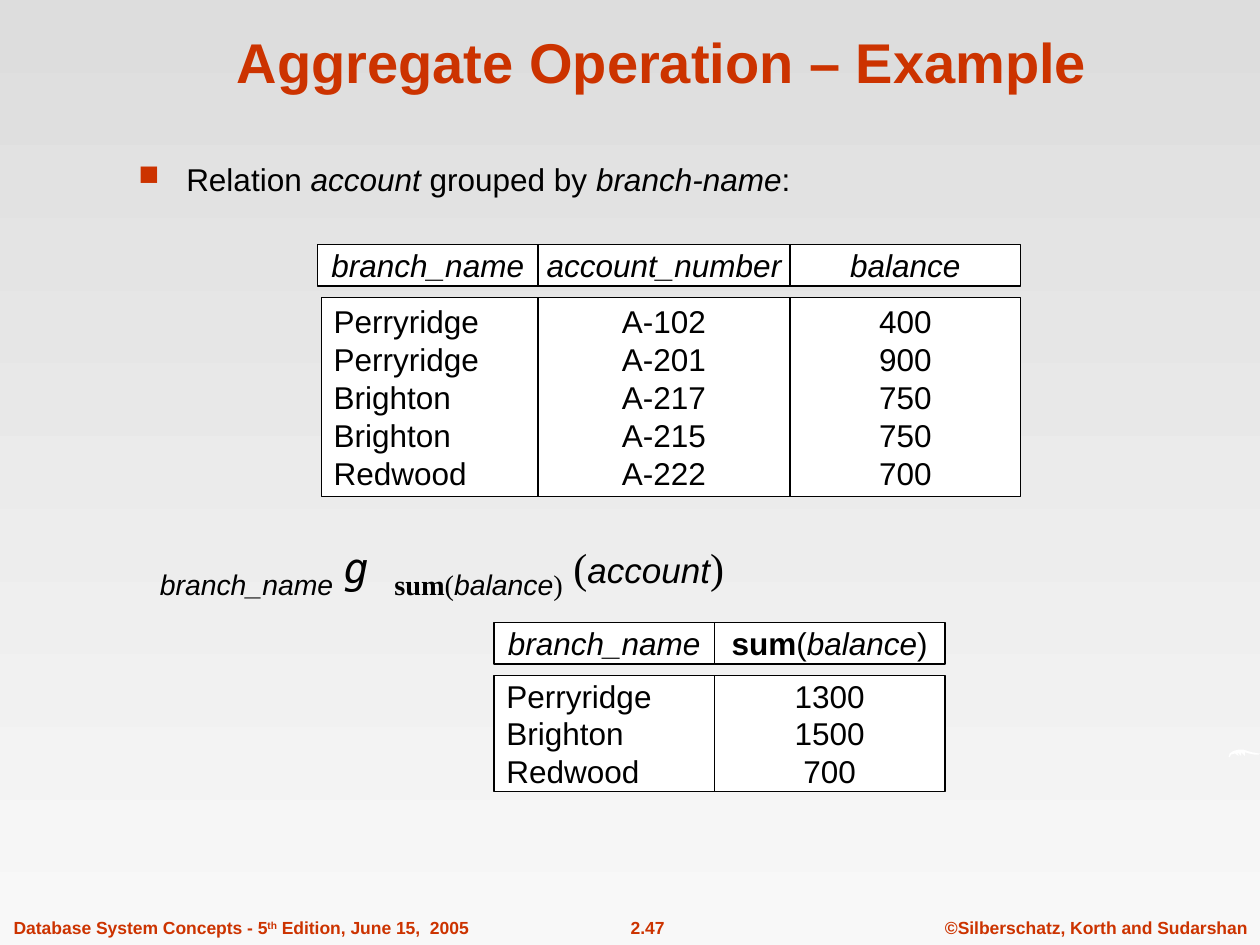
from dataclasses import dataclass

import pptx
import pptx.dml.color
import pptx.enum.shapes
import pptx.enum.text
import pptx.util
from lxml import etree
from pptx.util import Inches

Align = pptx.enum.text.PP_ALIGN
Anchor = pptx.enum.text.MSO_ANCHOR


@dataclass(frozen=True)
class Theme:
    accent: str = "CC3300"
    ink: str = "000000"
    paper: str = "FFFFFF"
    background: tuple = ("DDDDDD", "F8F8F8")
    sans: str = "Arial"
    serif: str = "Times New Roman"
    mono: str = "DejaVu Sans Mono"
    title_size: int = 32
    subscript_size: int = 28
    symbol_size: int = 24
    operand_size: int = 20
    body_size: int = 18
    footer_size: int = 10
    line_width: float = 0.75


THEME = Theme()


def rgb(color):
    return pptx.dml.color.RGBColor.from_string(color)


def add_run(paragraph, text, size=THEME.body_size, font=THEME.sans, color=THEME.ink,
            bold=False, italic=False, baseline=0):
    """Add one run; baseline is a shift in percent."""
    run = paragraph.add_run()
    run.text = text
    run.font.size = pptx.util.Pt(size)
    run.font.name = font
    run.font.bold = bold
    run.font.italic = italic
    run.font.color.rgb = rgb(color)
    if baseline:
        run.font._element.set("baseline", str(baseline * 1000))


def add_text_box(slide, box, wrap=True):
    frame = slide.shapes.add_textbox(*map(Inches, box)).text_frame
    frame.word_wrap = wrap
    return frame.paragraphs[0]


def add_bullet(paragraph, indent, character, color, percent):
    properties = paragraph._p.get_or_add_pPr()
    properties.set("marL", str(Inches(indent)))
    properties.set("indent", str(-Inches(indent)))
    namespace = properties.nsmap["a"]

    def child(parent, tag, **attributes):
        return etree.SubElement(parent, f"{{{namespace}}}{tag}", **attributes)

    child(child(properties, "buClr"), "srgbClr", val=color)
    child(properties, "buSzPct", val=str(percent * 1000))
    child(properties, "buChar", char=character)


def paint_background(slide):
    fill = slide.background.fill
    fill.gradient()
    fill.gradient_angle = 270
    for stop, color in zip(fill.gradient_stops, THEME.background):
        stop.color.rgb = rgb(color)


def add_ornament(slide):
    """Draw the small white wisp at the right edge, in hundredths of an inch."""
    outline = [(976, 598), (979, 596), (983, 595), (987, 595), (993, 597), (999, 598),
               (1000, 598), (999, 599), (996, 599), (991, 598), (988, 597), (988, 600),
               (985, 597), (985, 600), (982, 597), (983, 600), (980, 598), (977, 599),
               (976, 601)]
    builder = slide.shapes.build_freeform(975, 601, scale=Inches(0.01))
    builder.add_line_segments(outline, close=True)
    shape = builder.convert_to_shape()
    shape.shadow.inherit = False
    shape.fill.solid()
    shape.fill.fore_color.rgb = rgb(THEME.paper)
    shape.line.fill.background()


def add_footer(slide, top, height):
    parts = [
        (7.4, 2.6, Align.CENTER, [("©Silberschatz, Korth and Sudarshan", 0)]),
        (4.65, 0.98, Align.CENTER, [("2.47", 0)]),
        (0.01, 3.81, Align.LEFT, [("Database System Concepts - 5", 0), ("th", 30),
                                  (" Edition, June 15,  2005", 0)]),
    ]
    for left, width, alignment, runs in parts:
        paragraph = add_text_box(slide, (left, top, width, height), wrap=False)
        paragraph.alignment = alignment
        paragraph.space_before = pptx.util.Pt(6.2)
        for text, baseline in runs:
            add_run(paragraph, text, THEME.footer_size, color=THEME.accent,
                    bold=True, baseline=baseline)


def set_title(slide, box, text):
    title = slide.shapes.title
    title.left, title.top, title.width, title.height = map(Inches, box)
    title.text_frame.vertical_anchor = Anchor.BOTTOM
    paragraph = title.text_frame.paragraphs[0]
    paragraph.alignment = Align.CENTER
    add_run(paragraph, text, THEME.title_size, color=THEME.accent, bold=True)


def add_statement(slide, box):
    paragraph = add_text_box(slide, box)
    paragraph.space_before = pptx.util.Pt(7.9)
    add_bullet(paragraph, 0.38, "■", THEME.accent, 90)
    for text, italic in [("Relation ", False), ("account", True), (" grouped by ", False),
                         ("branch-name", True), (":", False)]:
        add_run(paragraph, text, italic=italic)


def add_formula(slide, box):
    paragraph = add_text_box(slide, box)
    subscript = {"size": THEME.subscript_size, "baseline": -25}
    symbol = {"size": THEME.symbol_size, "font": THEME.serif}
    add_run(paragraph, "branch_name", italic=True, **subscript)
    add_run(paragraph, " ", **symbol)
    add_run(paragraph, "g ", THEME.symbol_size, THEME.mono, italic=True)
    add_run(paragraph, "sum", font=THEME.serif, bold=True, **subscript)
    add_run(paragraph, "(", font=THEME.serif, **subscript)
    add_run(paragraph, "balance", italic=True, **subscript)
    add_run(paragraph, ")", font=THEME.serif, **subscript)
    add_run(paragraph, " (", **symbol)
    add_run(paragraph, "account", THEME.operand_size, italic=True)
    add_run(paragraph, ")", **symbol)


def add_cell(slide, box, lines, alignment, wrap):
    """Draw a bordered box; each line is a list of (text, format) runs."""
    shape = slide.shapes.add_shape(
        pptx.enum.shapes.MSO_SHAPE.RECTANGLE, *map(Inches, box))
    shape.shadow.inherit = False
    shape.fill.solid()
    shape.fill.fore_color.rgb = rgb(THEME.paper)
    shape.line.color.rgb = rgb(THEME.ink)
    shape.line.width = pptx.util.Pt(THEME.line_width)
    frame = shape.text_frame
    frame.word_wrap = wrap
    frame.vertical_anchor = Anchor.MIDDLE
    for index, runs in enumerate(lines):
        paragraph = frame.add_paragraph() if index else frame.paragraphs[0]
        paragraph.alignment = alignment
        for text, style in runs:
            add_run(paragraph, text, **style)


def add_relation(slide, left, top, body_height, columns, first_shift=0.0):
    """Draw a relation: a header box over a body box for each column."""
    header_height, body_offset = 0.33, 0.42
    for index, (width, header, values) in enumerate(columns):
        add_cell(slide, (left, top, width, header_height), [header], Align.CENTER, False)
        shift = 0 if index else first_shift
        add_cell(slide, (left + shift, top + body_offset, width, body_height),
                 [[(value, {})] for value in values.split()],
                 Align.CENTER if index else Align.LEFT, True)
        left += width


def main():
    presentation = pptx.Presentation()
    presentation.slide_width, presentation.slide_height = Inches(10), Inches(7.5)
    slide = presentation.slides.add_slide(presentation.slide_layouts[5])
    italic = {"italic": True}
    branch_header = [("branch_name", italic)]

    paint_background(slide)
    add_footer(slide, 7.23, 0.27)
    add_ornament(slide)
    set_title(slide, (0.84, 0.13, 8.83, 0.67), "Aggregate Operation – Example")
    add_statement(slide, (1, 1.22, 7.51, 0.45))
    add_formula(slide, (1.17, 4.19, 7.69, 0.64))
    add_relation(slide, 2.52, 1.94, 1.58, [
        (1.75, branch_header, "Perryridge Perryridge Brighton Brighton Redwood"),
        (2, [("account_number", italic)], "A-102 A-201 A-217 A-215 A-222"),
        (1.83, [("balance", italic)], "400 900 750 750 700"),
    ], first_shift=0.03)
    add_relation(slide, 3.92, 4.94, 0.92, [
        (1.75, branch_header, "Perryridge Brighton Redwood"),
        (1.83, [("sum", {"bold": True}), ("(", {}), ("balance", italic), (")", {})],
         "1300 1500 700"),
    ])
    presentation.save("out.pptx")


if __name__ == "__main__":
    main()
